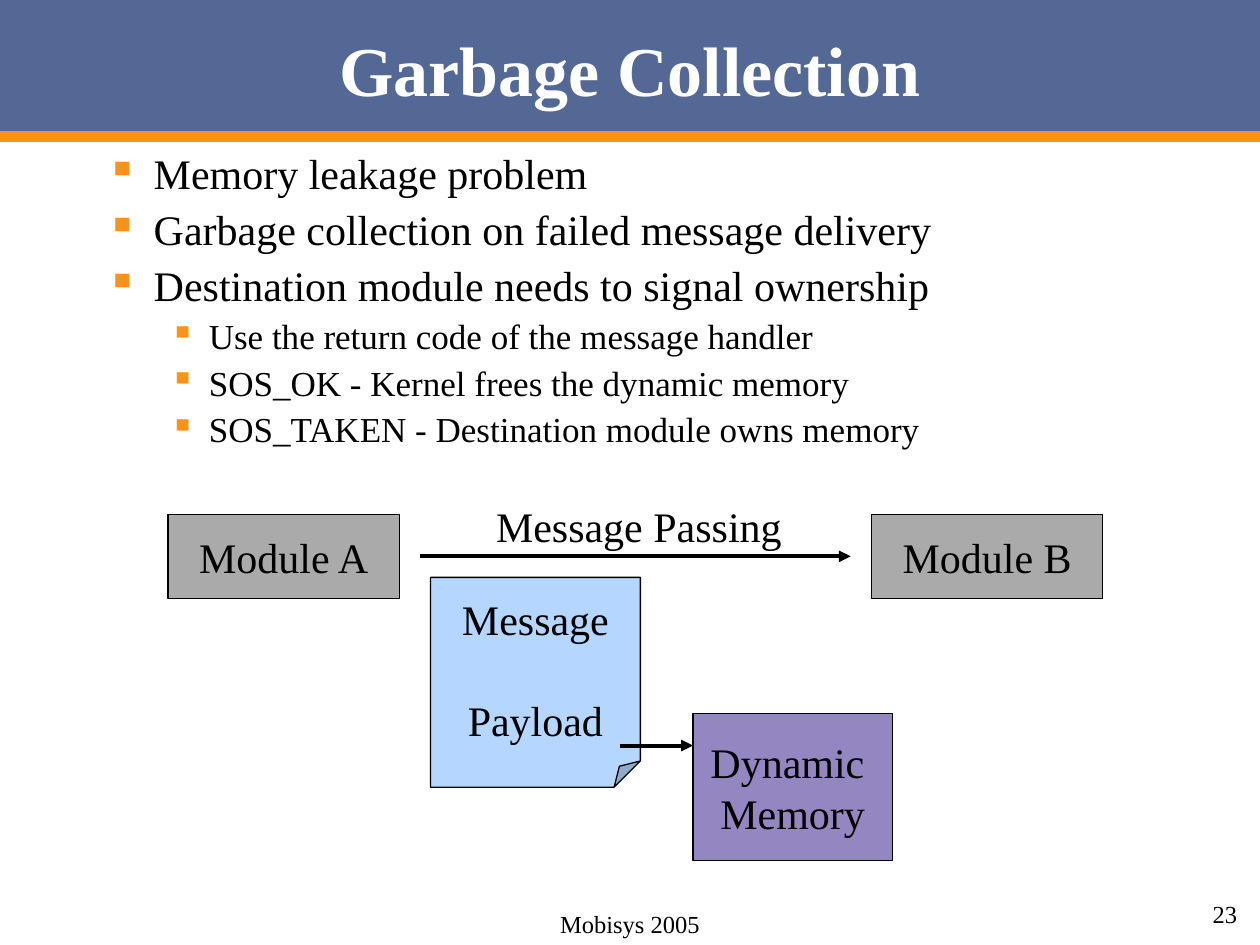
from lxml import etree
from pptx import Presentation
from pptx.dml.color import RGBColor
from pptx.enum.shapes import MSO_CONNECTOR, MSO_SHAPE
from pptx.enum.text import MSO_ANCHOR, PP_ALIGN
from pptx.oxml.ns import qn
from pptx.util import Cm, Pt

SLIDE_WIDTH, SLIDE_HEIGHT = 25.4, 19.05
BAND_HEIGHT = 2.75
BLACK, WHITE = "000000", "FFFFFF"
BLUE, ORANGE, GRAY = "536895", "FE9118", "AAAAAA"
PALE_BLUE, PURPLE = "B4D6FF", "9486C1"

MODULE_TOP, MODULE_WIDTH, MODULE_HEIGHT = 10.37, 4.66, 1.69
MEMORY_LEFT = 13.97
BULLET_LEVELS = [
    {"size": 24, "margin": 0.95, "hanging": 0.95, "before": 6},
    {"size": 20, "margin": 2.06, "hanging": 0.79, "before": 5},
]
POINTS = [
    (0, "Memory leakage problem"),
    (0, "Garbage collection on failed message delivery"),
    (0, "Destination module needs to signal ownership"),
    (1, "Use the return code of the message handler"),
    (1, "SOS_OK - Kernel frees the dynamic memory"),
    (1, "SOS_TAKEN - Destination module owns memory"),
]


def color(hex_value):
    return RGBColor.from_string(hex_value)


def apply_format(target, values):
    for name, value in values.items():
        setattr(target, name, value)


def style_font(paragraph, size=24, hex_value=BLACK, bold=False):
    apply_format(paragraph.font, {"name": "Times New Roman", "size": Pt(size), "bold": bold})
    paragraph.font.color.rgb = color(hex_value)


def write_lines(frame, lines, align=PP_ALIGN.CENTER, gap=0, **font):
    """Write one paragraph per line, with gap points between them."""
    for index, line in enumerate(lines):
        paragraph = frame.add_paragraph() if index else frame.paragraphs[0]
        paragraph.text = line
        apply_format(paragraph, {"alignment": align, "space_before": Pt(gap if index else 0)})
        style_font(paragraph, **font)


def add_label(slide, box, text, align=PP_ALIGN.CENTER, frame_format=None, **font):
    frame = slide.shapes.add_textbox(*map(Cm, box)).text_frame
    apply_format(frame, {"word_wrap": True, **(frame_format or {})})
    write_lines(frame, [text], align, **font)


def add_block(slide, box, fill, lines=(), preset=MSO_SHAPE.RECTANGLE, gap=0, outlined=True):
    block = slide.shapes.add_shape(preset, *map(Cm, box))
    block.shadow.inherit = False
    block.fill.solid()
    block.fill.fore_color.rgb = color(fill)
    if outlined:
        block.line.color.rgb = color(BLACK)
        block.line.width = Pt(0.75)
    else:
        block.line.fill.background()
    apply_format(block.text_frame, {"word_wrap": False, "vertical_anchor": MSO_ANCHOR.MIDDLE})
    write_lines(block.text_frame, lines, gap=gap)
    return block


def set_fold(block, share):
    """Set the folded corner's size as a share of the shorter side."""
    geometry = block._element.spPr.find(qn("a:prstGeom"))
    guides = geometry.find(qn("a:avLst"))
    if guides is None:
        guides = etree.SubElement(geometry, qn("a:avLst"))
    etree.SubElement(guides, qn("a:gd"), name="adj", fmla=f"val {round(share * 100000)}")


def add_rule(slide, left, right, y, hex_value=BLACK, width=2.25, arrow=True):
    """Draw a horizontal line, with an arrowhead at its right end if asked."""
    rule = slide.shapes.add_connector(
        MSO_CONNECTOR.STRAIGHT, Cm(left), Cm(y), Cm(right), Cm(y))
    rule.line.color.rgb = color(hex_value)
    rule.line.width = Pt(width)
    properties = rule._element.spPr
    if arrow:
        etree.SubElement(properties.find(qn("a:ln")), qn("a:tailEnd"), type="triangle")
    etree.SubElement(properties, qn("a:effectLst"))


def add_bullet(paragraph, margin, hanging):
    properties = paragraph._p.get_or_add_pPr()
    properties.set("marL", str(Cm(margin)))
    properties.set("indent", str(-Cm(hanging)))
    bullet_color = etree.SubElement(properties, qn("a:buClr"))
    etree.SubElement(bullet_color, qn("a:srgbClr"), val=ORANGE)
    etree.SubElement(properties, qn("a:buChar"), char="▪")


def add_points(slide, box):
    frame = slide.shapes.add_textbox(*map(Cm, box)).text_frame
    frame.word_wrap = True
    for index, (level, text) in enumerate(POINTS):
        look = BULLET_LEVELS[level]
        paragraph = frame.add_paragraph() if index else frame.paragraphs[0]
        paragraph.text = text
        add_bullet(paragraph, look["margin"], look["hanging"])
        apply_format(paragraph, {
            "level": level,
            "line_spacing": 0.9,
            "space_before": Pt(look["before"] if index else 0),
        })
        style_font(paragraph, look["size"])


def add_header(slide):
    add_block(slide, (0, 0, SLIDE_WIDTH, BAND_HEIGHT), BLUE, outlined=False)
    add_rule(slide, 0, SLIDE_WIDTH, BAND_HEIGHT, ORANGE, 6, arrow=False)
    add_label(slide, (1.27, 0, 22.86, BAND_HEIGHT), "Garbage Collection",
              frame_format={"vertical_anchor": MSO_ANCHOR.MIDDLE},
              size=40, hex_value=WHITE, bold=True)


def add_message_diagram(slide):
    for left, name in ((3.39, "Module A"), (17.57, "Module B")):
        add_block(slide, (left, MODULE_TOP, MODULE_WIDTH, MODULE_HEIGHT), GRAY, [name])
    message = add_block(slide, (8.68, 11.64, 4.23, 4.23), PALE_BLUE,
                        ["Message", "Payload"], MSO_SHAPE.FOLDED_CORNER, gap=29)
    set_fold(message, 0.125)
    add_block(slide, (MEMORY_LEFT, 14.39, 4.02, 2.96), PURPLE, ["Dynamic ", "Memory"])
    add_rule(slide, 12.49, MEMORY_LEFT, 15.03)
    add_rule(slide, 8.47, 17.15, MODULE_TOP + MODULE_HEIGHT / 2)
    add_label(slide, (9.75, 9.96, 6.27, 1.27), "Message Passing", PP_ALIGN.LEFT,
              {"word_wrap": False})


def add_footer(slide):
    add_label(slide, (7.42, 18.2, 9.95, 0.64), "Mobisys 2005",
              frame_format={"margin_left": Cm(0.86)}, size=14)
    add_label(slide, (19.9, 17.99, 5.29, 0.85), "23", PP_ALIGN.RIGHT, size=14)


def main():
    presentation = Presentation()
    apply_format(presentation, {"slide_width": Cm(SLIDE_WIDTH), "slide_height": Cm(SLIDE_HEIGHT)})
    slide = presentation.slides.add_slide(presentation.slide_layouts[6])
    add_header(slide)
    add_points(slide, (1.9, 2.97, 21.6, 6.55))
    add_message_diagram(slide)
    add_footer(slide)
    presentation.save("out.pptx")


if __name__ == "__main__":
    main()
